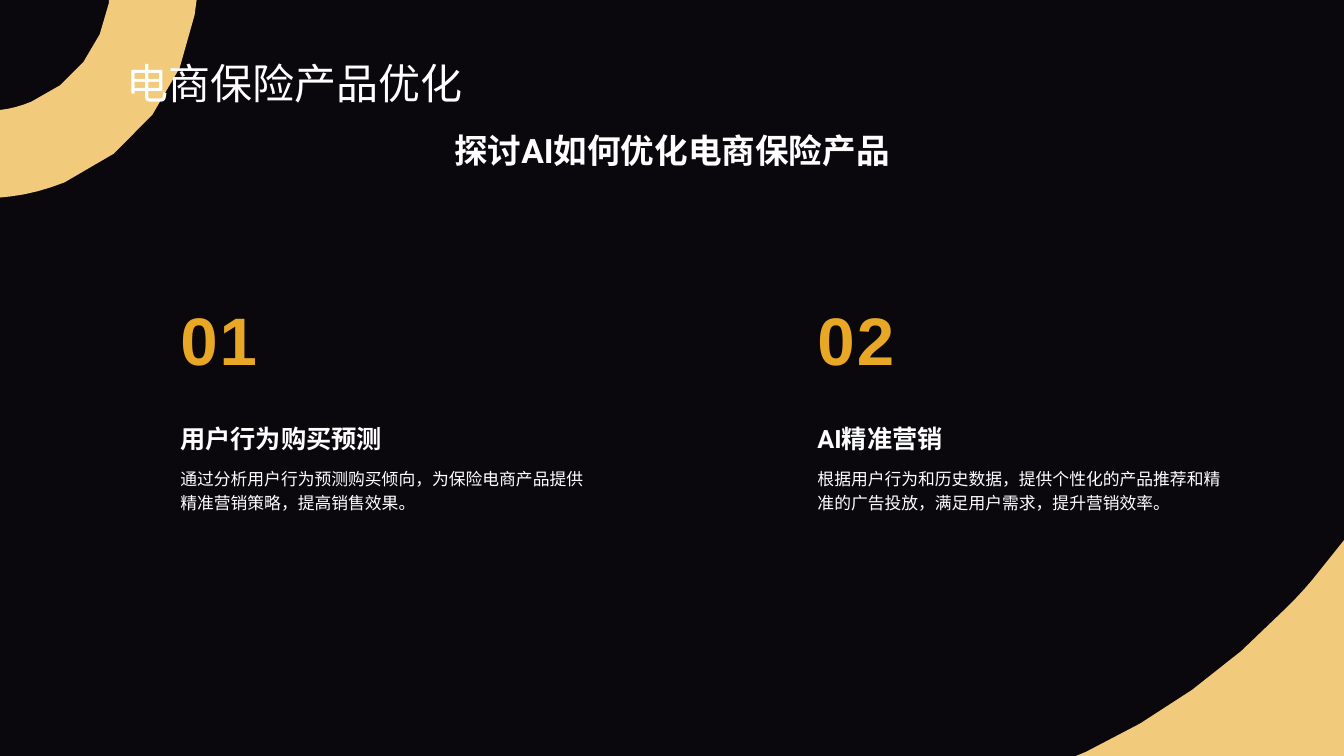
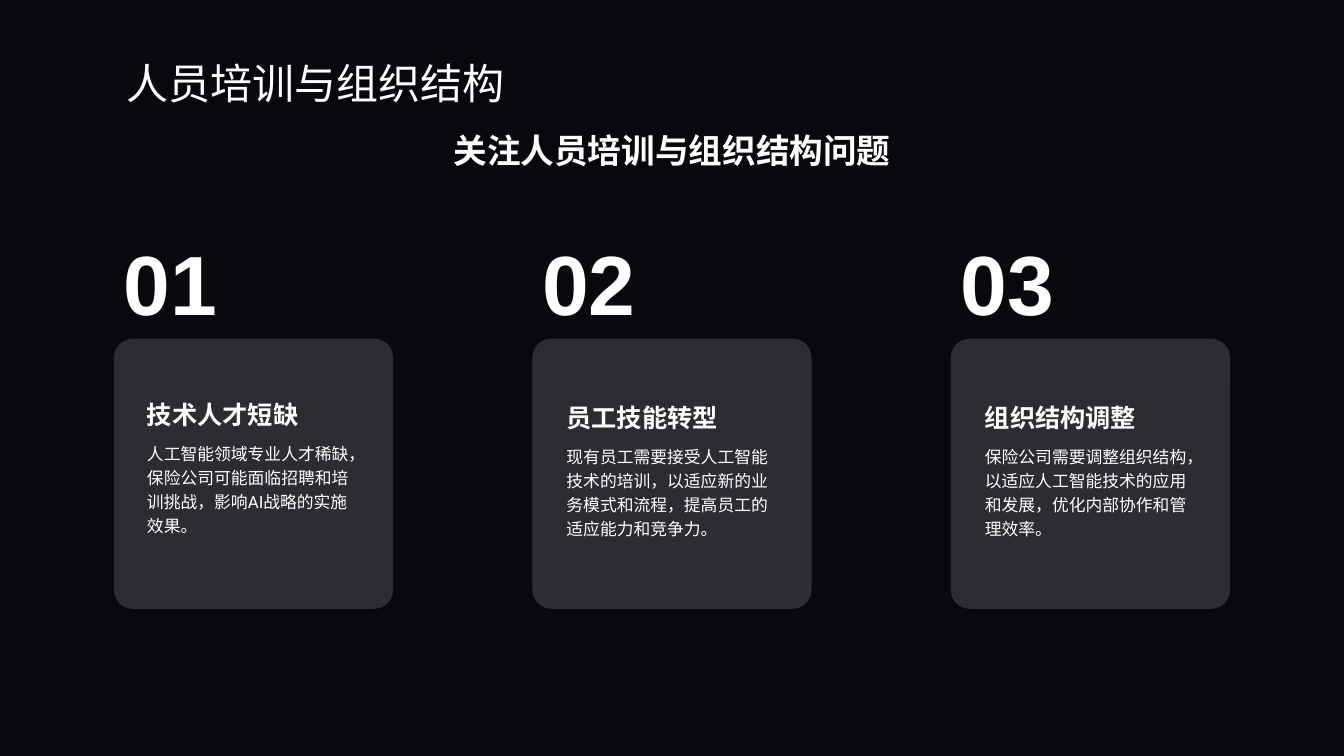
"""Build two dark slides on AI in e-commerce insurance and staff training."""
from lxml.etree import SubElement
from pptx import Presentation
from pptx.dml.color import RGBColor
from pptx.enum.shapes import MSO_SHAPE as Shape
from pptx.enum.text import MSO_ANCHOR as Anchor, PP_ALIGN as Align
from pptx.oxml.ns import qn
from pptx.util import Pt

PX = 9144
WIDTH, HEIGHT = 1333, 750
NIGHT = RGBColor(0x0A, 0x07, 0x0D)
SAND = RGBColor(0xF1, 0xCA, 0x7C)
AMBER = RGBColor(0xE8, 0xA7, 0x24)
WHITE = RGBColor(0xFF, 0xFF, 0xFF)
TITLE_FONT = "Noto Sans CJK JP"
BODY_FONT = "Roboto"
NUMBER_FONT = "Arial"
CURVE_STEPS = 4

presentation = Presentation()
presentation.slide_width = WIDTH * PX
presentation.slide_height = HEIGHT * PX
background = presentation.slide_master.background.fill
background.solid()
background.fore_color.rgb = NIGHT


def add_text(slide, text, left, top, width, height, size=12, font=BODY_FONT,
             color=WHITE, bold=False, align=Align.LEFT, anchor=Anchor.TOP,
             line_spacing=None, space_size=None, wrap=True):
    box = slide.shapes.add_textbox(left * PX, top * PX, width * PX, height * PX)
    frame = box.text_frame
    frame.word_wrap = wrap
    frame.vertical_anchor = anchor
    paragraph = frame.paragraphs[0]
    paragraph.alignment = align
    paragraph.line_spacing = line_spacing
    for piece in text.partition(" ") if space_size else [text]:
        run = paragraph.add_run()
        run.text = piece
        run.font.size = Pt(space_size if piece == " " else size)
        run.font.name = font
        run.font.bold = bold
        run.font.color.rgb = color
        SubElement(run.font._element, qn("a:ea")).set("typeface", font)


def add_slide(title, subtitle, outlines=()):
    slide = presentation.slides.add_slide(presentation.slide_layouts[6])
    for start, *segments in outlines:
        points = [start]
        for segment in segments:
            if len(segment) == 2:
                points.append(segment)
                continue
            x0, y0 = points[-1]
            x1, y1, x2, y2, x3, y3 = segment
            for step in range(1, CURVE_STEPS + 1):
                t = step / CURVE_STEPS
                a, b, c, d = (1 - t) ** 3, 3 * t * (1 - t) ** 2, 3 * t * t * (1 - t), t ** 3
                points.append((a * x0 + b * x1 + c * x2 + d * x3,
                               a * y0 + b * y1 + c * y2 + d * y3))
        vertices = [(round(x * PX), round(y * PX)) for x, y in points]
        builder = slide.shapes.build_freeform(*vertices[0])
        builder.add_line_segments(vertices[1:], close=True)
        shape = builder.convert_to_shape()
        shape.shadow.inherit = False
        shape.fill.solid()
        shape.fill.fore_color.rgb = SAND
        shape.line.fill.background()
    add_text(slide, subtitle, 73, 124, 1187, 50, size=24, bold=True, align=Align.CENTER)
    add_text(slide, title, 116, 33, 1111, 79, size=30, font=TITLE_FONT, anchor=Anchor.BOTTOM)
    return slide


CORNER = [(WIDTH, 536), (WIDTH, HEIGHT), (1067, HEIGHT), (1077, 746),
          (1150, 712, 1218, 664, 1277, 602), (1289, 590, 1299, 579, 1309, 566)]
RING = [(108, 0), (195, 0), (193, 15), (182, 88, 135, 151, 64, 181),
        (46, 188, 28, 193, 10, 195), (0, 196), (0, 109), (1, 109),
        (11, 108, 21, 105, 31, 101), (73, 84, 101, 46, 108, 3)]

slide = add_slide("电商保险产品优化", "探讨AI如何优化电商保险产品", [CORNER, RING])
columns = [
    ("用户行为购买预测", "通过分析用户行为预测购买倾向，为保险电商产品提供精准营销策略，提高销售效果。"),
    ("AI精准营销", "根据用户行为和历史数据，提供个性化的产品推荐和精准的广告投放，满足用户需求，提升营销效率。"),
]
for index, (heading, body) in enumerate(columns):
    left = 169 + index * 632
    add_text(slide, f"0 {index + 1}", left, 291, 114, 89, size=48, font=NUMBER_FONT,
             color=AMBER, bold=True, space_size=5, wrap=False)
    add_text(slide, heading, left, 381, 423, 74, size=18, bold=True, anchor=Anchor.BOTTOM)
    add_text(slide, body, left, 456, 423, 214, line_spacing=1.2)

slide = add_slide("人员培训与组织结构", "关注人员培训与组织结构问题")
cards = [
    ("技术人才短缺", "人工智能领域专业人才稀缺，保险公司可能面临招聘和培训挑战，影响AI战略的实施效果。", 136, 354),
    ("员工技能转型", "现有员工需要接受人工智能技术的培训，以适应新的业务模式和流程，提高员工的适应能力和竞争力。", 552, 357),
    ("组织结构调整", "保险公司需要调整组织结构，以适应人工智能技术的应用和发展，优化内部协作和管理效率。", 967, 357),
]
for index, (heading, body, text_left, heading_top) in enumerate(cards):
    left = 113 + index * 415
    card = slide.shapes.add_shape(Shape.ROUNDED_RECTANGLE, left * PX, 336 * PX, 277 * PX, 268 * PX)
    card.adjustments[0] = 0.07
    card.shadow.inherit = False
    card.line.fill.background()
    card.fill.solid()
    card.fill.fore_color.rgb = WHITE
    color_element = card._element.spPr.find(qn("a:solidFill"))[0]
    SubElement(color_element, qn("a:alpha")).set("val", "15000")
    add_text(slide, f"{index + 1:02}", left, 225, 137, 111, size=60, font=NUMBER_FONT, bold=True)
    add_text(slide, heading, text_left, heading_top, 230, 77, size=18, bold=True, anchor=Anchor.BOTTOM)
    add_text(slide, body, text_left, heading_top + 77, 230, 161, line_spacing=1.2)

presentation.save("out.pptx")
